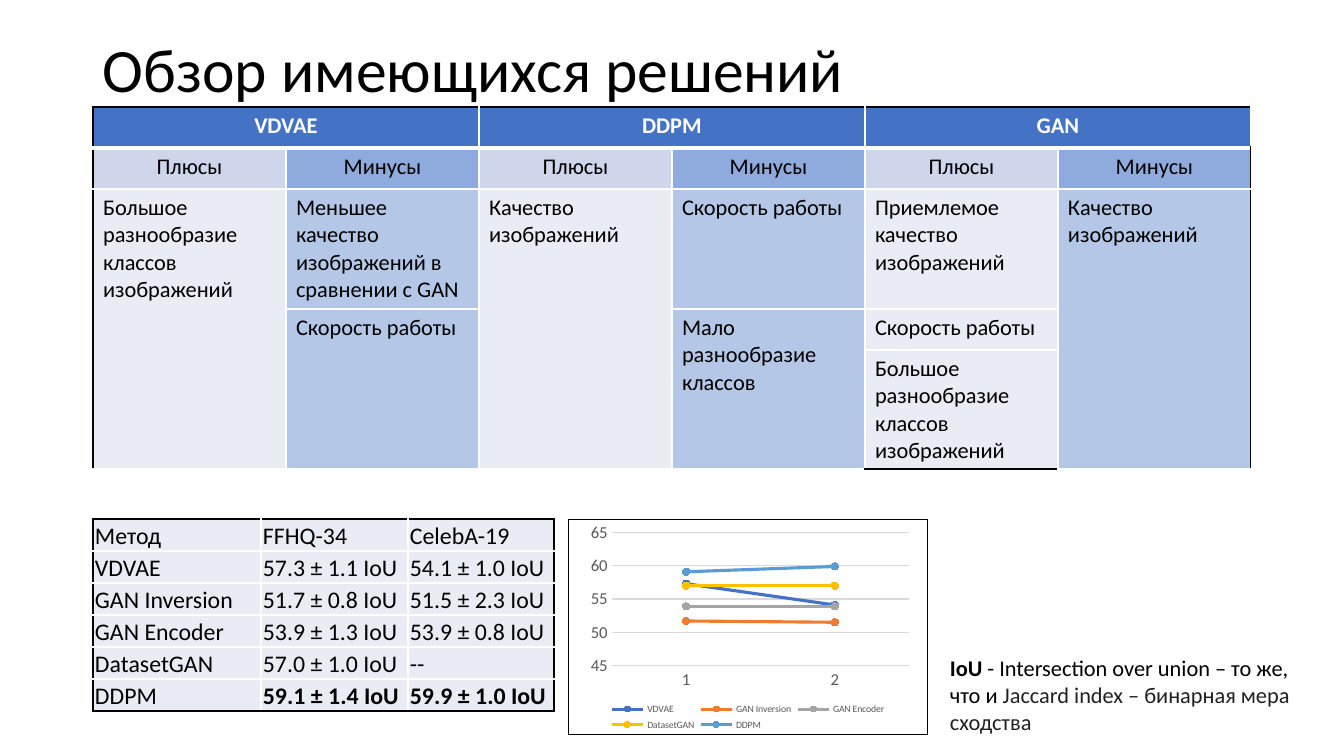
from lxml.etree import SubElement
from pptx import Presentation
from pptx.chart.data import CategoryChartData as ChartData
from pptx.dml.color import RGBColor
from pptx.enum.chart import XL_CHART_TYPE as ChartType
from pptx.enum.chart import XL_LEGEND_POSITION as LegendPosition
from pptx.enum.chart import XL_MARKER_STYLE as MarkerStyle
from pptx.enum.chart import XL_TICK_MARK as TickMark
from pptx.enum.text import MSO_ANCHOR as Anchor
from pptx.enum.text import MSO_AUTO_SIZE as AutoSize
from pptx.enum.text import PP_ALIGN as Align
from pptx.oxml import parse_xml
from pptx.oxml.ns import nsdecls, qn
from pptx.util import Pt

PX = 914400 / 100.8
FONT = "Calibri"
COLORS = {
    "black": "000000", "white": "FFFFFF", "ink": "202122", "gray": "595959",
    "grid": "D9D9D9", "header": "4472C4", "plus": "CFD5EA", "minus": "8FAADC",
    "pale": "E9EBF5", "sky": "B4C7E7", "VDVAE": "4472C4", "GAN Inversion": "ED7D31",
    "GAN Encoder": "A5A5A5", "DatasetGAN": "FFC000", "DDPM": "5B9BD5",
}


def px(*lengths):
    return [round(length * PX) for length in lengths]


def rgb(color):
    return RGBColor.from_string(COLORS[color])


def assign(target, values):
    for name, value in values.items():
        setattr(target, name, value)


class SlideBuilder:
    def __init__(self, slide):
        self.slide = slide

    def style(self, font, size, color="black", bold=False):
        assign(font, {"name": FONT, "size": Pt(size), "bold": bold})
        font.color.rgb = rgb(color)

    def add_runs(self, frame, runs, size, **paragraph_format):
        """Fill the first paragraph with (text, color, bold) runs."""
        paragraph = frame.paragraphs[0]
        assign(paragraph, paragraph_format)
        for text, color, bold in runs:
            run = paragraph.add_run()
            run.text = text
            self.style(run.font, size, color, bold)

    def text(self, box, runs, size, frame_format, **paragraph_format):
        frame = self.slide.shapes.add_textbox(*px(*box)).text_frame
        assign(frame, {"word_wrap": True, **frame_format})
        self.add_runs(frame, runs, size, **paragraph_format)

    def border(self, cell, sides):
        properties = cell._tc.get_or_add_tcPr()
        for side in "LRTB":
            if side in sides:
                color, width = sides[side]
                line = SubElement(properties, qn(f"a:ln{side}"), w=str(Pt(width)))
                fill = SubElement(line, qn("a:solidFill"))
                SubElement(fill, qn("a:srgbClr"), val=COLORS[color])

    def table(self, origin, widths, heights, rows, size, look, spans=None, cell_format=None):
        """look(row, column) gives fill, text color, bold, alignment, bottom width."""
        row_count, column_count = len(heights), len(widths)
        box = px(*origin, sum(widths), sum(heights))
        table = self.slide.shapes.add_table(row_count, column_count, *box).table
        assign(table, {"first_row": False, "horz_banding": False})
        for column, width in zip(table.columns, px(*widths)):
            column.width = width
        for row, height in zip(table.rows, px(*heights)):
            row.height = height

        # Map every grid position to the merged region that covers it
        regions = {}
        for (top, left), (down, across) in (spans or {}).items():
            bottom, right = top + down - 1, left + across - 1
            table.cell(top, left).merge(table.cell(bottom, right))
            for r in range(top, bottom + 1):
                for c in range(left, right + 1):
                    regions[r, c] = top, left, bottom, right

        for r in range(row_count):
            for c in range(column_count):
                cell, text = table.cell(r, c), rows[r][c]
                top, left, bottom, right = regions.get((r, c), (r, c, r, c))
                fill, color, bold, align, bottom_width = look(r, c)
                edges = {
                    "L": (c == left, c == 0, 1),
                    "R": (c == right, c == column_count - 1, 1),
                    "T": (r == top, r == 0, 1),
                    "B": (r == bottom, r == row_count - 1, bottom_width),
                }
                self.border(cell, {
                    side: ("black" if outer else "white", width)
                    for side, (shown, outer, width) in edges.items() if shown
                })
                cell.fill.solid()
                cell.fill.fore_color.rgb = rgb(fill)
                assign(cell, cell_format or {})
                if text:
                    self.add_runs(cell.text_frame, [(text, color, bold)], size, alignment=align)

    def line_chart(self, box, categories, series, scale, plot):
        data = ChartData()
        data.categories = categories
        for name, values in series.items():
            data.add_series(name, values)
        chart = self.slide.shapes.add_chart(ChartType.LINE_MARKERS, *px(*box), data).chart
        assign(chart, {"has_title": False, "has_legend": True})
        self.style(chart.font, 10)
        assign(chart.legend, {"position": LegendPosition.BOTTOM, "include_in_layout": False})
        self.style(chart.legend.font, 7, "gray")

        # Axes
        assign(chart.value_axis, scale)
        for axis in (chart.category_axis, chart.value_axis):
            assign(axis, {"major_tick_mark": TickMark.NONE, "minor_tick_mark": TickMark.NONE})
            self.style(axis.tick_labels.font, 12, "gray")
        chart.value_axis.format.line.fill.background()
        gridlines = chart.value_axis.major_gridlines.format.line
        for line in (chart.category_axis.format.line, gridlines):
            line.color.rgb = rgb("grid")
            line.width = Pt(0.75)

        # Series
        chart.plots[0].vary_by_categories = False
        for item in chart.plots[0].series:
            item.smooth = False
            assign(item.marker, {"style": MarkerStyle.CIRCLE, "size": 5})
            item.format.line.width = Pt(2.25)
            item.marker.format.fill.solid()
            item.marker.format.fill.fore_color.rgb = rgb(item.name)
            for line in (item.format.line, item.marker.format.line):
                line.color.rgb = rgb(item.name)

        # Plot position and outer frame
        area = chart._chartSpace.chart.plotArea
        for layout in area.findall(qn("c:layout")):
            area.remove(layout)
        modes = {"layoutTarget": "inner", "xMode": "edge", "yMode": "edge"}
        parts = "".join(f'<c:{key} val="{value}"/>' for key, value in {**modes, **plot}.items())
        area.insert(0, parse_xml(
            f'<c:layout {nsdecls("c")}><c:manualLayout>{parts}</c:manualLayout></c:layout>'))
        chart._chartSpace.chart.addnext(parse_xml(
            f'<c:spPr {nsdecls("c", "a")}><a:solidFill><a:srgbClr val="{COLORS["white"]}"/>'
            f'</a:solidFill><a:ln w="{Pt(1)}"><a:solidFill><a:srgbClr val="{COLORS["black"]}"/>'
            '</a:solidFill></a:ln></c:spPr>'))


def review_look(row, column):
    if row == 0:
        return "header", "white", True, Align.CENTER, 3
    if row == 1:
        return ("plus", "minus")[column % 2], "black", False, Align.CENTER, 1
    return ("pale", "sky")[column % 2], "black", False, Align.LEFT, 1


def score_look(row, column):
    return "pale", "black", row == 5 and column > 0, Align.LEFT, 1


def main():
    presentation = Presentation()
    presentation.slide_width, presentation.slide_height = px(1344, 756)
    builder = SlideBuilder(presentation.slides.add_slide(presentation.slide_layouts[6]))

    # Title
    builder.text((93, 0, 1159, 146), [("Обзор имеющихся решений", "black", False)], 44,
                 {"vertical_anchor": Anchor.MIDDLE}, line_spacing=0.9)

    # Pros and cons of each model
    variety, quality, speed = ("Большое разнообразие классов изображений",
                               "Качество изображений", "Скорость работы")
    review = [
        ["VDVAE", "", "DDPM", "", "GAN", ""],
        ["Плюсы", "Минусы"] * 3,
        [variety, "Меньшее качество изображений в сравнении с GAN", quality, speed,
         "Приемлемое качество изображений", quality],
        ["", speed, "", "Мало разнообразие классов", speed, ""],
        ["", "", "", "", variety, ""],
    ]
    spans = {(0, column): (1, 2) for column in (0, 2, 4)}
    spans |= {(2, column): (3, 1) for column in (0, 2, 5)}
    spans |= {(3, column): (2, 1) for column in (1, 3)}
    builder.table((93, 107), [193] * 6, [41, 41, 120, 41, 119], review, 16, review_look, spans)

    # Scores
    scores = [
        ["Метод", "FFHQ-34", "CelebA-19"],
        ["VDVAE", "57.3 ± 1.1 IoU", "54.1 ± 1.0 IoU"],
        ["GAN Inversion", "51.7 ± 0.8 IoU", "51.5 ± 2.3 IoU"],
        ["GAN Encoder", "53.9 ± 1.3 IoU", "53.9 ± 0.8 IoU"],
        ["DatasetGAN", "57.0 ± 1.0 IoU", "--"],
        ["DDPM", "59.1 ± 1.4 IoU", "59.9 ± 1.0 IoU"],
    ]
    inset = px(2)[0]
    builder.table((93, 519), [168, 147, 146], [32] * 6, scores, 17, score_look, cell_format={
        "vertical_anchor": Anchor.BOTTOM, "margin_left": inset, "margin_right": inset,
        "margin_top": inset, "margin_bottom": 0})

    # Note on the metric
    builder.text((940, 649, 392, 95), [
        ("IoU", "black", True),
        (" - Intersection over union – то же, что и ", "black", False),
        ("Jaccard index – бинарная мера сходства", "ink", False),
    ], 16, {"auto_size": AutoSize.SHAPE_TO_FIT_TEXT})

    # Score chart
    builder.line_chart((568, 519, 360, 216), ["1", "2"], {
        "VDVAE": (57.3, 54.1), "GAN Inversion": (51.7, 51.5), "GAN Encoder": (53.9, 53.9),
        "DatasetGAN": (57, 57), "DDPM": (59.1, 59.9),
    }, {"minimum_scale": 45, "maximum_scale": 65, "major_unit": 5},
        {"x": 0.12, "y": 0.06, "w": 0.83, "h": 0.62})

    presentation.save("out.pptx")


if __name__ == "__main__":
    main()
